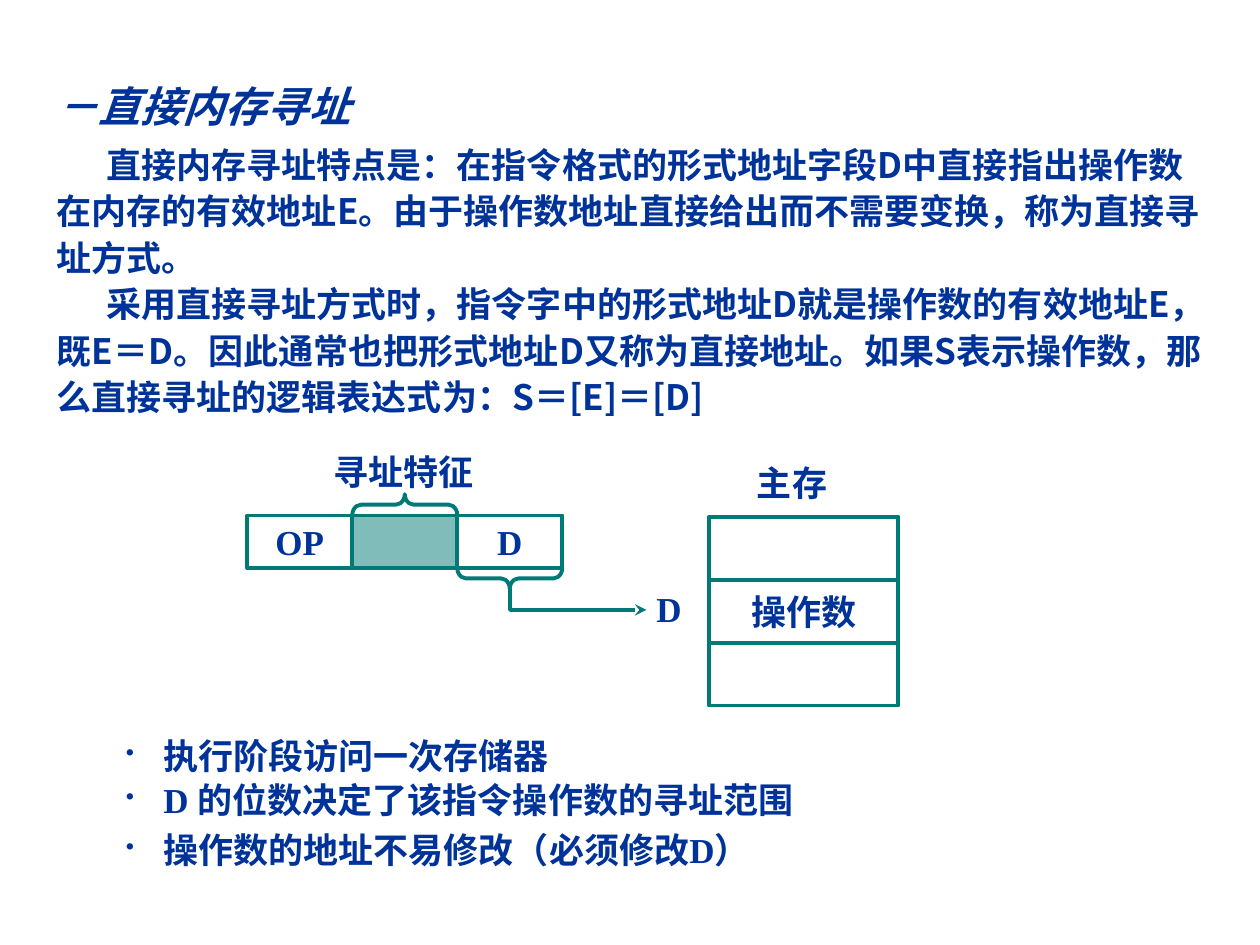
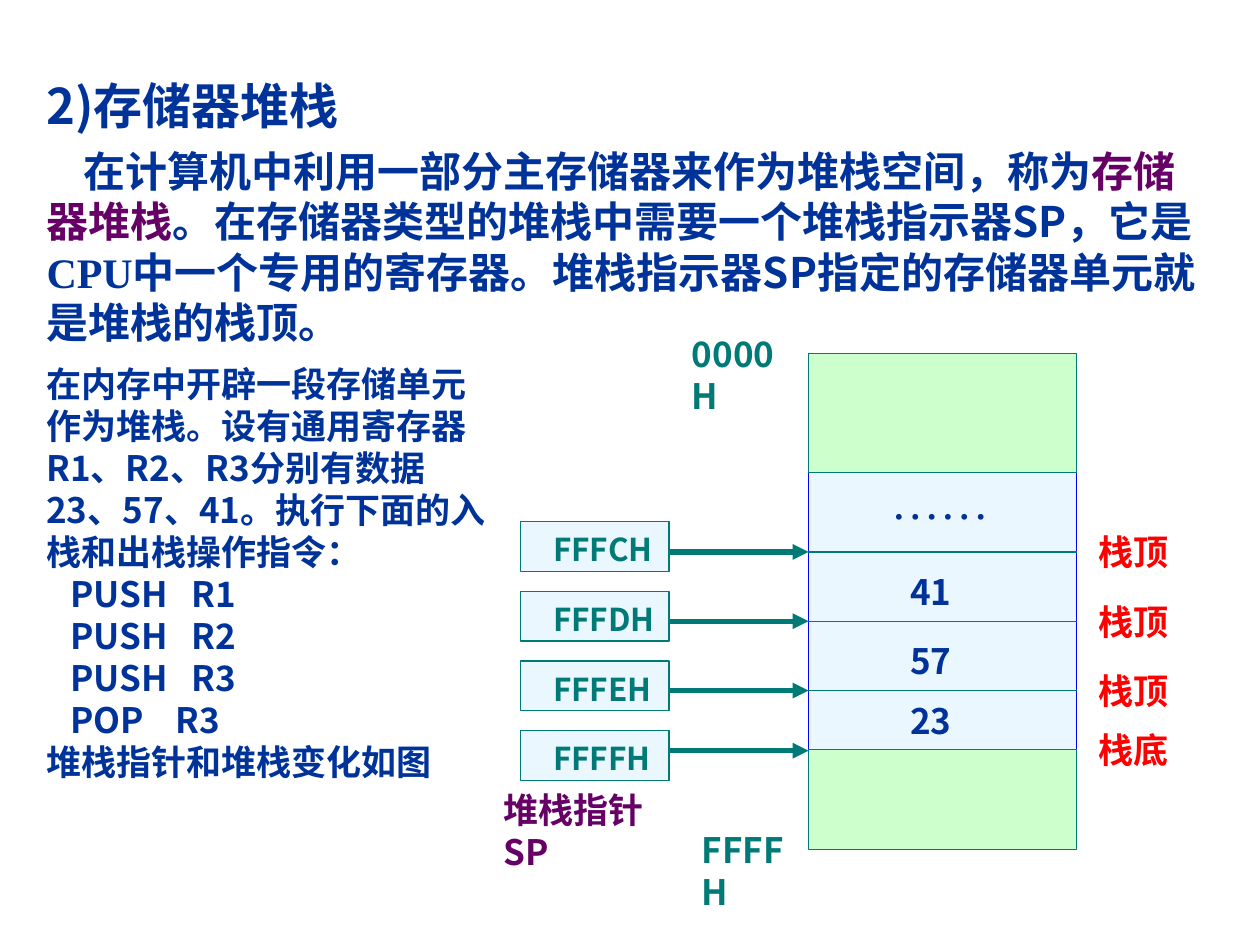
import dataclasses

import pptx
import pptx.dml.color
import pptx.enum.shapes
import pptx.enum.text
import pptx.oxml
import pptx.oxml.ns
import pptx.util
from lxml import etree

Pt = pptx.util.Pt
RGB = pptx.dml.color.RGBColor.from_string
Shape = pptx.enum.shapes.MSO_SHAPE
Align = pptx.enum.text.PP_ALIGN
Anchor = pptx.enum.text.MSO_ANCHOR
qn = pptx.oxml.ns.qn


@dataclasses.dataclass(frozen=True)
class Theme:
    navy: str = "003399"
    teal: str = "007A77"
    purple: str = "660066"
    red: str = "FF0000"
    blue: str = "0000FF"
    pale_blue: str = "EBF7FF"
    pale_green: str = "CCFFCC"
    sans: str = "Noto Sans CJK SC"
    serif: str = "Times New Roman"
    label_font: str = "Lato"
    title_font: str = "Arial"
    title: int = 28
    heading: int = 24
    text: int = 20
    small: int = 18
    leading: float = 1.2
    thin: float = 0.75
    medium: float = 2.25
    thick: float = 3


theme = Theme()
serif = {"name": theme.serif}
teal = {"color": theme.teal}


def write_text(shape, paragraphs, anchor=Anchor.TOP, **defaults):
    frame = shape.text_frame
    middle = anchor == Anchor.MIDDLE
    frame_format = {
        "word_wrap": True,
        "vertical_anchor": anchor,
        "margin_left": Pt(7.2),
        "margin_right": Pt(7.2),
        "margin_top": Pt(0 if middle else 5),
        "margin_bottom": Pt(0 if middle else 3.6),
    }
    for name, value in frame_format.items():
        setattr(frame, name, value)
    for index, (runs, layout) in enumerate(paragraphs):
        paragraph = frame.add_paragraph() if index else frame.paragraphs[0]
        size = defaults.get("size", theme.text)
        paragraph_format = {
            "alignment": Align.CENTER if middle else Align.LEFT,
            "line_spacing": Pt(layout.get("height", size * theme.leading)),
            "space_before": Pt(layout.get("before", 0)),
        }
        for name, value in paragraph_format.items():
            setattr(paragraph, name, value)
        properties = paragraph._p.get_or_add_pPr()
        properties.set("indent", str(Pt(layout.get("indent", 0))))
        if "bullet" in layout:
            properties.set("marL", str(Pt(-layout["indent"])))
            color = etree.SubElement(properties, qn("a:buClr"))
            etree.SubElement(color, qn("a:srgbClr"), val=theme.navy)
            etree.SubElement(properties, qn("a:buSzPct"), val="70000")
            etree.SubElement(properties, qn("a:buChar"), char=layout["bullet"])
        for text, override in runs:
            style = {"size": theme.text, "bold": True, "italic": False, "name": theme.sans,
                     "color": theme.navy, "asian": theme.sans, **defaults, **override}
            run = paragraph.add_run()
            run.text = text
            font_format = {name: style[name] for name in ("bold", "italic", "name")}
            font_format["size"] = Pt(style["size"])
            for name, value in font_format.items():
                setattr(run.font, name, value)
            run.font.color.rgb = RGB(style["color"])
            etree.SubElement(run._r.get_or_add_rPr(), qn("a:ea"), typeface=style["asian"])


def draw_outline(shape, width, color=theme.teal, fill=None, arrow=None):
    shape.line.color.rgb = RGB(color)
    shape.line.width = Pt(width)
    if fill:
        shape.fill.solid()
        shape.fill.fore_color.rgb = RGB(fill)
    elif hasattr(shape, "fill"):
        shape.fill.background()
    if arrow:
        etree.SubElement(shape.line._get_or_add_ln(), qn("a:tailEnd"), type=arrow)
    etree.SubElement(shape._element.spPr, qn("a:effectLst"))


presentation = pptx.Presentation()
presentation.slide_width = Pt(720)
presentation.slide_height = Pt(540)
blank_layout = presentation.slide_layouts[6]

slide = presentation.slides.add_slide(blank_layout)
body = slide.shapes.add_textbox(Pt(25.2), Pt(36), Pt(672.5), Pt(206))
explanation = {"height": 26.5, "indent": 28.5}
write_text(body, [
    ([("－直接内存寻址", {"size": theme.heading, "italic": True})], {"height": 34}),
    ([("直接内存寻址特点是：在指令格式的形式地址字段D中直接指出操作数在内存的有效地址E。"
       "由于操作数地址直接给出而不需要变换，称为直接寻址方式。", {})], {**explanation, "before": 4.5}),
    ([("采用直接寻址方式时，指令字中的形式地址D就是操作数的有效地址E，既E＝D。"
       "因此通常也把形式地址D又称为直接地址。如果S表示操作数，"
       "那么直接寻址的逻辑表达式为：S＝[E]＝[D]", {})], explanation),
])

for row, content in enumerate(["", "操作数", ""]):
    cell = slide.shapes.add_shape(Shape.RECTANGLE, Pt(405.4), Pt(295.2 + 36 * row), Pt(108), Pt(36))
    draw_outline(cell, theme.medium)
    if content:
        write_text(cell, [([(content, serif)], {})], Anchor.MIDDLE)

for column, (content, fill) in enumerate([("OP", None), ("", theme.teal), ("D", None)]):
    field = slide.shapes.add_shape(Shape.RECTANGLE, Pt(141.3 + 60 * column), Pt(294.6), Pt(60), Pt(30))
    draw_outline(field, theme.medium, fill=fill)
    if fill:
        color = field._element.spPr.find(qn("a:solidFill")).find(qn("a:srgbClr"))
        etree.SubElement(color, qn("a:alpha"), val="50000")
    if content:
        write_text(field, [([(content, serif)], {})], Anchor.MIDDLE)

for left, top, rotation in [(225.3, 258.4, 90), (285.3, 300.5, 270)]:
    brace = slide.shapes.add_shape(Shape.LEFT_BRACE, Pt(left), Pt(top), Pt(12), Pt(60))
    brace.adjustments[0] = 0.42
    brace.rotation = rotation
    draw_outline(brace, theme.medium)

builder = slide.shapes.build_freeform(Pt(291.5), Pt(336.8))
builder.add_line_segments([(Pt(291.5), Pt(348.5)), (Pt(369.4), Pt(348.5))], close=False)
draw_outline(builder.convert_to_shape(), theme.medium, arrow="stealth")

for content, left, top, width in [("主存", 425.5, 258.5, 57.6), ("寻址特征", 183.6, 252.7, 103),
                                  ("D", 368, 331, 28.8)]:
    label = slide.shapes.add_textbox(Pt(left), Pt(top), Pt(width), Pt(31))
    write_text(label, [([(content, serif)], {})])

for content, top, width in [("执行阶段访问一次存储器", 414.7, 266),
                            ("D 的位数决定了该指令操作数的寻址范围", 440, 414),
                            ("操作数的地址不易修改（必须修改D）", 468.7, 387)]:
    note = slide.shapes.add_textbox(Pt(64.8), Pt(top), Pt(width), Pt(31.5))
    write_text(note, [([(content, serif)], {"bullet": "•", "indent": -21.5})])

slide = presentation.slides.add_slide(blank_layout)
body = slide.shapes.add_textbox(Pt(19.5), Pt(36), Pt(674.5), Pt(165))
write_text(body, [
    ([("2)", {"size": theme.title}),
      ("存储器堆栈", {"size": theme.title, "name": theme.title_font})], {"height": 36}),
    ([("在计算机中利用一部分主存储器来作为堆栈空间，称为", {}),
      ("存储器堆栈", {"color": theme.purple}),
      ("。在存储器类型的堆栈中需要一个堆栈指示器SP，它是", {}),
      ("CPU", serif),
      ("中一个专用的寄存器。堆栈指示器SP指定的存储器单元就是堆栈的栈顶。", {})],
     {"before": 6, "indent": 21}),
], size=theme.heading)

for top, height, fill, color in [(270, 158.4, theme.pale_blue, theme.blue),
                                 (428.4, 57, theme.pale_green, theme.teal),
                                 (202, 68, theme.pale_green, theme.teal)]:
    block = slide.shapes.add_shape(Shape.RECTANGLE, Pt(462), Pt(top), Pt(153.3), Pt(height))
    draw_outline(block, theme.thin, color, fill)

for content, left, top, width, height, style in [
    ("0000H", 388.3, 185, 72, 55.5, teal),
    ("FFFFH", 394, 468.7, 68, 55.5, teal),
    ("堆栈指针SP", 280.6, 445.7, 119, 55.5, {"color": theme.purple}),
    ("41", 513, 321, 51, 31.5, {}),
    ("57", 513, 360.7, 51, 31.5, {}),
    ("23", 513, 394.6, 51, 31.5, {}),
    ("……", 502, 264, 73.5, 41,
     {"name": theme.serif, "asian": theme.serif, "size": theme.title, "bold": False}),
]:
    label = slide.shapes.add_textbox(Pt(left), Pt(top), Pt(width), Pt(height))
    write_text(label, [([(content, {})], {})], **style)

pointers = [("FFFCH", "栈顶", 315.4, 298.1), ("FFFDH", "栈顶", 355, 298.1),
            ("FFFEH", "栈顶", 394.6, 298.1), ("FFFFH", "栈底", 429, 292)]
for index, (address, mark, arrow_top, mark_base) in enumerate(pointers):
    box_top = 298.1 + 39.8 * index
    if index < len(pointers) - 1:
        divider = slide.shapes.add_connector(1, Pt(462), Pt(arrow_top), Pt(615.3), Pt(arrow_top))
        draw_outline(divider, theme.thin)
    arrow = slide.shapes.add_connector(1, Pt(382.3), Pt(arrow_top), Pt(462), Pt(arrow_top))
    draw_outline(arrow, theme.thick, arrow="triangle")
    box = slide.shapes.add_shape(Shape.RECTANGLE, Pt(297.3), Pt(box_top), Pt(85), Pt(28.4))
    draw_outline(box, theme.thin, fill=theme.pale_blue)
    label = slide.shapes.add_textbox(Pt(309), Pt(box_top), Pt(73.4), Pt(29))
    write_text(label, [([(address, teal)], {})], size=theme.small)
    label = slide.shapes.add_textbox(Pt(620.6), Pt(mark_base + 39.8 * index), Pt(67.7), Pt(31.5))
    write_text(label, [([(mark, {})], {})], name=theme.label_font, color=theme.red)

example = slide.shapes.add_textbox(Pt(19.4), Pt(202.3), Pt(266.4), Pt(247.7))
lines = [
    "在内存中开辟一段存储单元作为堆栈。设有通用寄存器R1、R2、R3分别有数据23、57、41。"
    "执行下面的入栈和出栈操作指令：",
    "   PUSH   R1",
    "   PUSH   R2",
    "   PUSH   R3",
    "   POP    R3",
    "堆栈指针和堆栈变化如图",
]
write_text(example, [([(line, {})], {}) for line in lines])

presentation.save("out.pptx")
